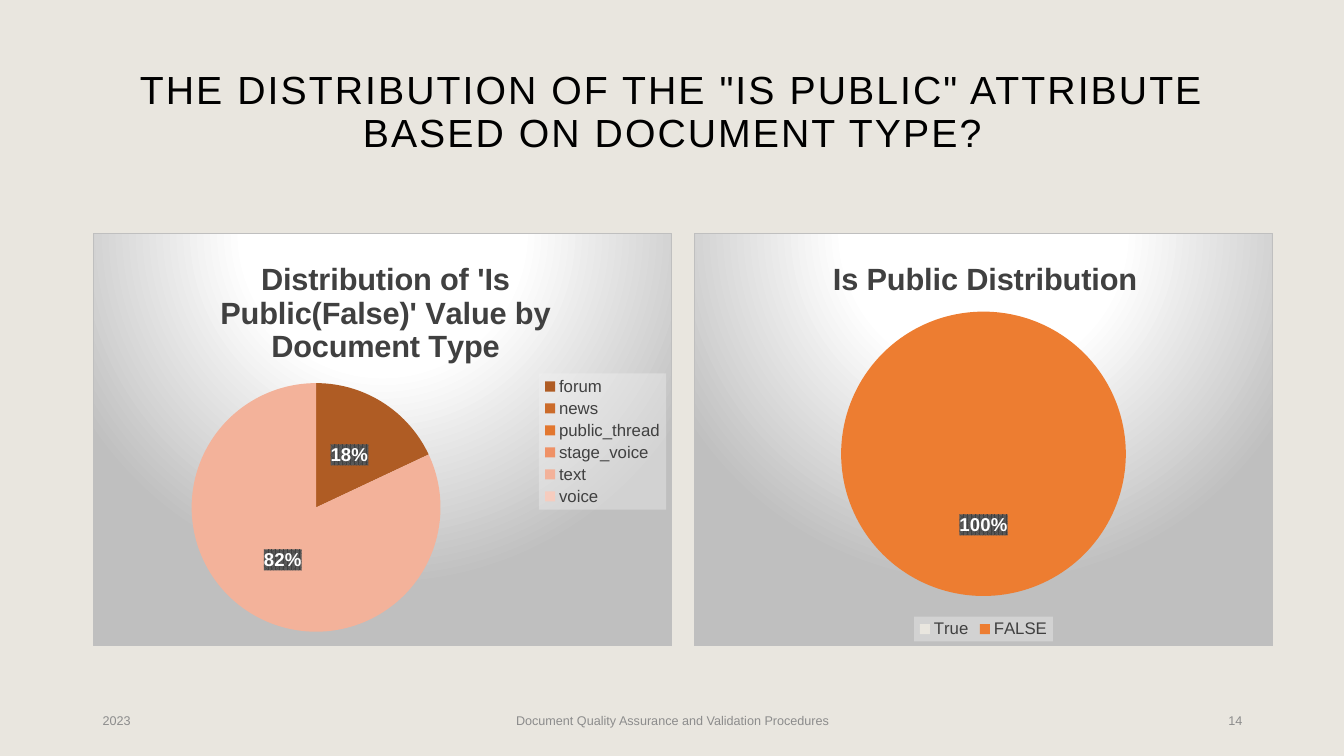
import pptx
import pptx.chart.data
import pptx.dml.color
import pptx.enum.chart
import pptx.enum.text
import pptx.oxml
import pptx.oxml.ns
import pptx.util

Inches = pptx.util.Inches
Pt = pptx.util.Pt
RGB = pptx.dml.color.RGBColor
Align = pptx.enum.text.PP_ALIGN
Legend = pptx.enum.chart.XL_LEGEND_POSITION

SAND = RGB(0xE9, 0xE6, 0xDF)
BLACK = RGB(0, 0, 0)
WHITE = RGB(0xFF, 0xFF, 0xFF)
GRAY = RGB(0x8C, 0x8C, 0x8C)
DARK = RGB(0x40, 0x40, 0x40)
ORANGE = RGB(0xED, 0x7D, 0x31)
SHADES = [RGB.from_string(code) for code in
          ("AF5C24", "CB6B2A", "E2772F", "EF9166", "F3B29A", "F6CCBE")]

PANEL = """<a:gradFill><a:gsLst>
<a:gs pos="0"><a:srgbClr val="FFFFFF"/></a:gs>
<a:gs pos="39000"><a:srgbClr val="FFFFFF"/></a:gs>
<a:gs pos="100000"><a:srgbClr val="BFBFBF"/></a:gs></a:gsLst>
<a:path path="circle"><a:fillToRect l="50000" t="-80000" r="50000" b="180000"/></a:path>
</a:gradFill><a:ln w="9525"><a:solidFill><a:srgbClr val="BFBFBF"/></a:solidFill></a:ln>"""
GLASS = """<a:solidFill><a:srgbClr val="F2F2F2"><a:alpha val="39000"/></a:srgbClr></a:solidFill>"""
HATCH = """<a:pattFill prst="pct75"><a:fgClr><a:srgbClr val="404040"/></a:fgClr>
<a:bgClr><a:srgbClr val="595959"/></a:bgClr></a:pattFill>"""


def make(tag, body):
    spaces = pptx.oxml.ns.nsdecls("c", "a")
    return pptx.oxml.parse_xml(f"<c:{tag} {spaces}>{body}</c:{tag}>")


def paint(node, fill):
    node.xpath("c:txPr")[0].addprevious(make("spPr", fill))


def place(node, index, box, inner=False):
    for old in node.xpath("c:layout"):
        node.remove(old)
    body = '<c:layoutTarget val="inner"/>' if inner else ""
    body += '<c:xMode val="edge"/><c:yMode val="edge"/>'
    body += "".join(f'<c:{key} val="{val}"/>' for key, val in zip("xywh", box))
    node.insert(index, make("layout", f"<c:manualLayout>{body}</c:manualLayout>"))


def style(font, size, color, bold=False):
    font.name = "Arial"
    font.size = Pt(size)
    font.color.rgb = color
    font.bold = bold


def add_text(slide, box, text, size, color, align):
    frame = slide.shapes.add_textbox(*map(Inches, box)).text_frame
    frame.word_wrap = True
    frame.vertical_anchor = pptx.enum.text.MSO_ANCHOR.MIDDLE
    line = frame.paragraphs[0]
    line.text = text
    line.alignment = align
    style(line.font, size, color)
    return line


def add_pie(slide, left, title, names, values, colors, side, head, plot, key):
    data = pptx.chart.data.CategoryChartData()
    data.categories = names
    data.add_series("Series 1", values)
    chart = slide.shapes.add_chart(
        pptx.enum.chart.XL_CHART_TYPE.PIE, Inches(left), Inches(2.31),
        Inches(5.75), Inches(4.1), data).chart
    root = chart.element
    style(chart.font, 10, BLACK)
    paint(root, PANEL)
    root.xpath("c:chart")[0].addprevious(
        pptx.oxml.parse_xml(f'<c:roundedCorners {pptx.oxml.ns.nsdecls("c")} val="0"/>'))

    chart.has_title = True
    line = chart.chart_title.text_frame.paragraphs[0]
    line.text = title
    style(line.font, 22, DARK, True)
    chart.chart_title.include_in_layout = False
    place(root.xpath("c:chart/c:title")[0], 1, head)

    chart.has_legend = True
    chart.legend.position = side
    chart.legend.include_in_layout = False
    style(chart.legend.font, 12, DARK)
    legend = root.xpath("c:chart/c:legend")[0]
    place(legend, 1, key)
    paint(legend, GLASS)

    pie = chart.plots[0]
    pie.vary_by_categories = True
    place(root.xpath("c:chart/c:plotArea")[0], 0, plot, True)
    series = pie.series[0]
    for index, color in enumerate(colors):
        fill = series.points[index].format.fill
        fill.solid()
        fill.fore_color.rgb = color
    labels = series.data_labels
    labels.show_percentage = True
    labels.show_value = False
    labels.number_format = "0%"
    labels.number_format_is_linked = False
    labels.position = pptx.enum.chart.XL_LABEL_POSITION.CENTER
    style(labels.font, 13.3, WHITE, True)
    paint(root.xpath(".//c:ser/c:dLbls")[0], HATCH)


def main():
    deck = pptx.Presentation()
    deck.slide_width = Inches(13.33)
    deck.slide_height = Inches(7.5)
    slide = deck.slides.add_slide(deck.slide_layouts[6])
    slide.background.fill.solid()
    slide.background.fill.fore_color.rgb = SAND

    title = add_text(
        slide, (0.92, 0.4, 11.5, 1.45),
        'THE DISTRIBUTION OF THE "IS PUBLIC" ATTRIBUTE BASED ON DOCUMENT TYPE?',
        28, BLACK, Align.CENTER)
    title.line_spacing = 0.9
    title.runs[0].font._element.set("spc", "150")

    add_pie(slide, 0.92, "Distribution of 'Is Public(False)' Value by Document Type",
            ["forum", "news", "public_thread", "stage_voice", "text", "voice"],
            [18, 0, 0, 0, 82, 0], SHADES, Legend.RIGHT,
            (0.21, 0.05), (0.17, 0.36, 0.43, 0.61), (0.77, 0.34, 0.22, 0.33))
    add_pie(slide, 6.88, "Is Public Distribution", ["True", "FALSE"],
            [0, 100], [SAND, ORANGE], Legend.BOTTOM,
            (0.23, 0.05), (0.25, 0.19, 0.5, 0.69), (0.38, 0.93, 0.24, 0.06))

    for left, width, text, align in (
            (0.92, 3, "2023", Align.LEFT),
            (4.42, 4.5, "Document Quality Assurance and Validation Procedures", Align.CENTER),
            (9.42, 3, "14", Align.RIGHT)):
        line = add_text(slide, (left, 6.95, width, 0.4), text, 9, GRAY, align)
        line.space_after = Pt(6)

    deck.save("out.pptx")


if __name__ == "__main__":
    main()
